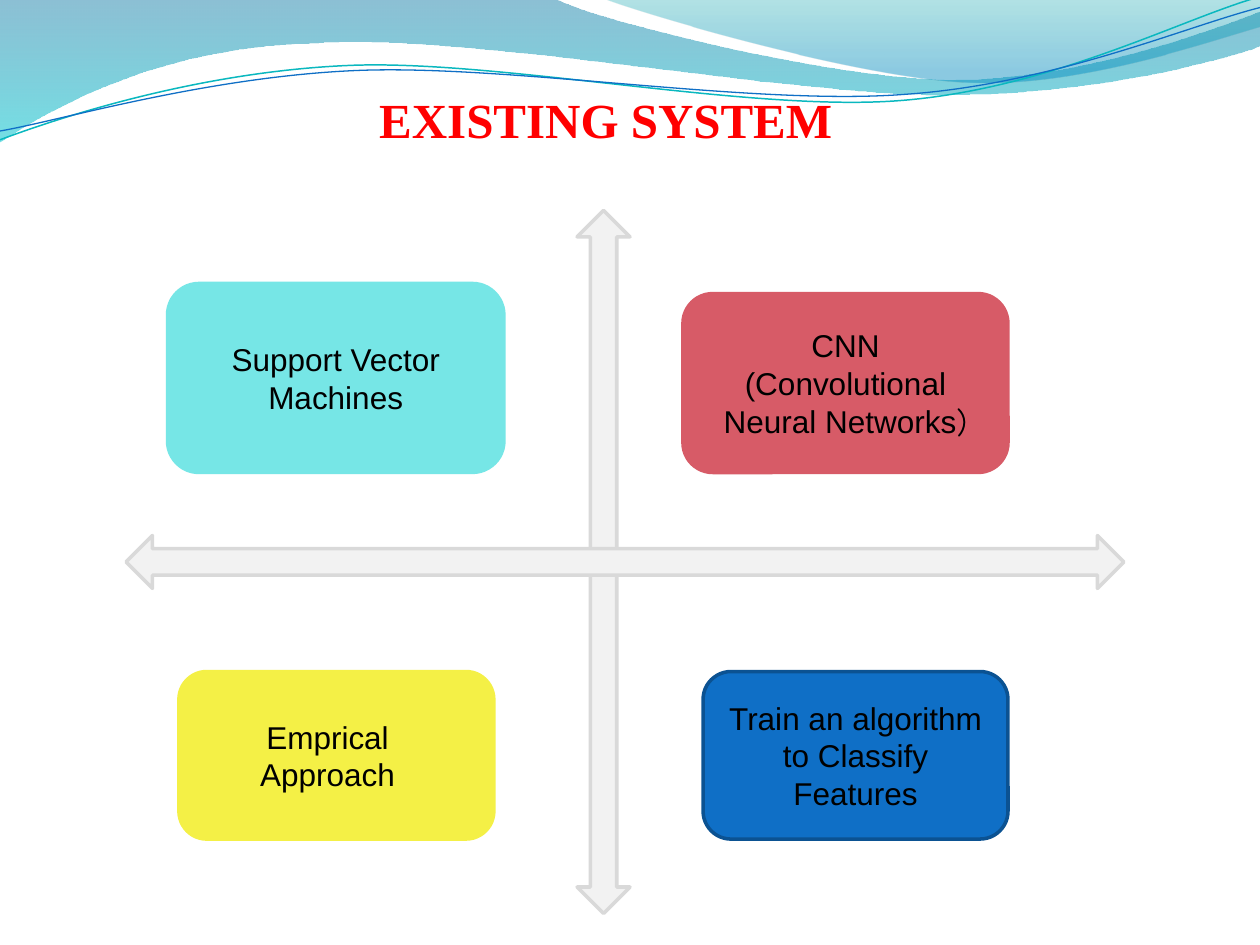
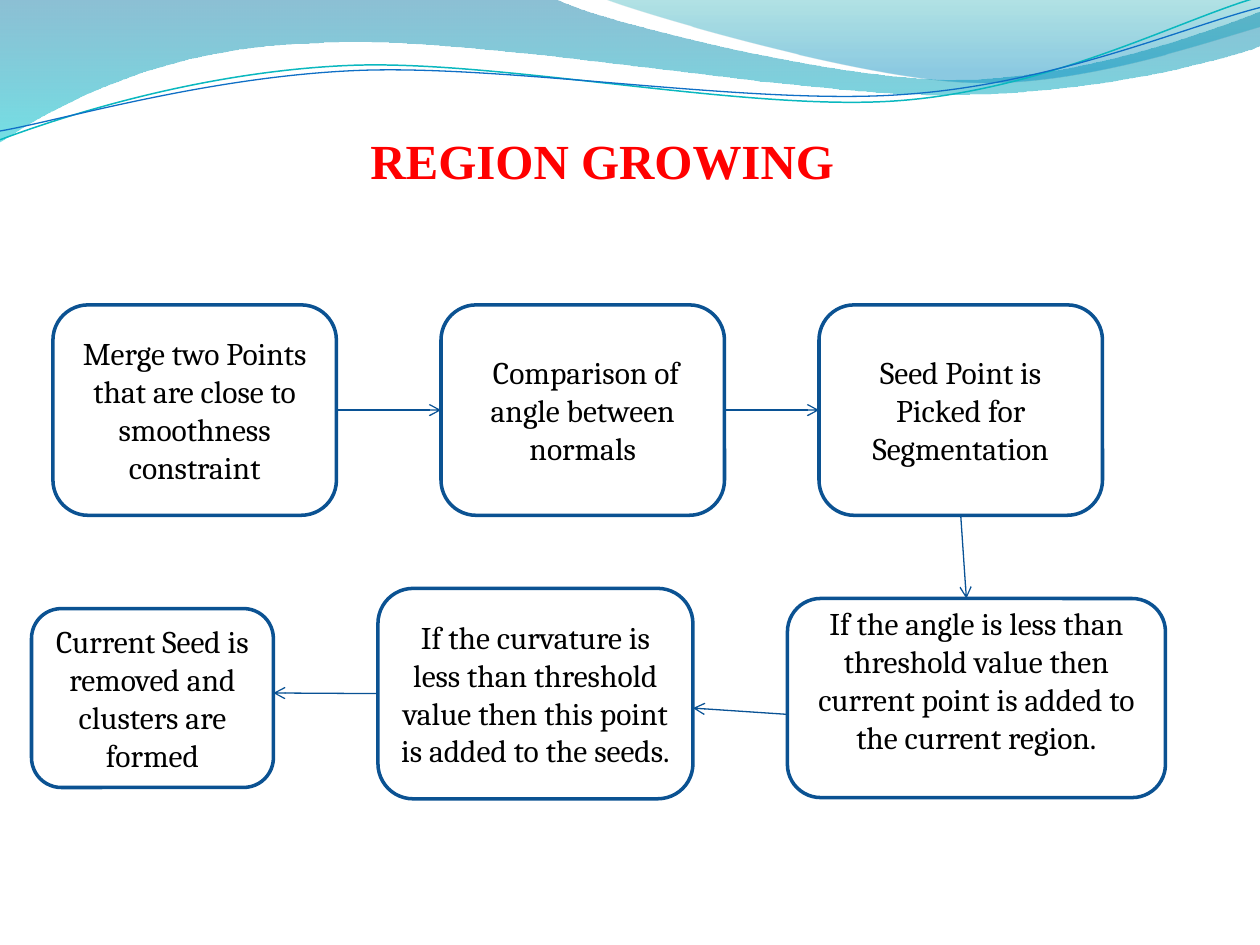
from dataclasses import dataclass

from lxml.etree import SubElement
from pptx import Presentation
from pptx.dml.color import RGBColor
from pptx.enum.shapes import MSO_CONNECTOR, MSO_SHAPE
from pptx.enum.text import MSO_ANCHOR, PP_ALIGN
from pptx.oxml.ns import qn
from pptx.util import Inches, Pt


@dataclass(frozen=True)
class Theme:
    title_color: str = "FF0000"
    text_color: str = "000000"
    outline: str = "0B5292"
    link: str = "095295"
    axis_fill: str = "F2F2F2"
    axis_line: str = "D9D9D9"
    white: str = "FFFFFF"
    blue: str = "0F6FC6"
    teal: str = "0AB8BF"
    title_font: str = "Times New Roman"
    quadrant_font: str = "Arial"
    step_font: str = "Cambria"
    bracket_font: str = "Comic Neue"
    title_size: int = 28
    body_size: int = 18
    outline_width: float = 2
    link_width: float = 0.75


THEME = Theme()
TOP, LEFT, BOTTOM, RIGHT = range(4)
SIDE_SHARES = {TOP: (0.5, 0), LEFT: (0, 0.5), BOTTOM: (0.5, 1), RIGHT: (1, 0.5)}
TITLE_INDENT = 2.52
TITLE_WIDTH = 9

# Wave outlines: a start point, then lines (x, y) or cubic curves (six numbers).
# Gradient stops: position, colour, opacity in percent.
WAVE_BANDS = [
    ((0, 0),
     [(4.4, -0.01), (4.76, 0.17, 6.64, 0.63, 7.58, 0.63), (8.53, 0.63, 9.58, 0.26, 10, 0.09),
      (10.01, 0.36), (9.83, 0.44, 8.7, 0.76, 7.46, 0.75), (6.22, 0.75, 3.82, 0.28, 2.57, 0.34),
      (1.29, 0.36, 0.46, 0.83, -0.01, 1.13), (0, 0)],
     [(0, "0074A1", 45), (1, "00C6CF", 55)]),
    ((4.79, -0.01),
     [(5.09, 0.11, 6.82, 0.62, 7.69, 0.65), (8.56, 0.69, 9.61, 0.32, 10, 0.21), (10, 0),
      (4.79, -0.01)],
     [(0, "00A1A9", 30), (0.8, "008BBF", 45)]),
]
WAVE_LINES = [
    ((0, 1.11),
     [(0.48, 0.93, 1.58, 0.57, 2.77, 0.52), (3.95, 0.47, 5.93, 0.89, 7.13, 0.8),
      (8.33, 0.71, 9.38, 0.15, 9.98, -0.02)], THEME.teal, 0.85),
    ((0, 1.04),
     [(0.47, 0.96, 1.64, 0.61, 2.83, 0.56), (4.03, 0.51, 5.97, 0.84, 7.17, 0.75),
      (8.36, 0.67, 9.41, 0.21, 10, 0.06)], THEME.blue, 0.75),
]

AXES = [
    (MSO_SHAPE.UP_DOWN_ARROW, (4.58, 1.67, 0.42, 5.58)),
    (MSO_SHAPE.LEFT_RIGHT_ARROW, (1, 4.25, 7.92, 0.42)),
]
QUADRANTS = [
    (["Support Vector Machines"], (1.33, 2.25, 2.67, 1.5), "76E6E6", "76E6E6"),
    (["CNN", "(Convolutional Neural Networks"], (5.42, 2.33, 2.58, 1.42), "D75B67", "D75B67"),
    (["Emprical", "Approach"], (1.42, 5.33, 2.5, 1.33), "F4F046", "F4F046"),
    (["Train an algorithm to Classify Features"], (5.58, 5.33, 2.42, 1.33),
     THEME.blue, THEME.outline),
]
EMPIRICAL_RIGHT_INDENT = 0.14

STEP_TOP, STEP_SIZE = 2.42, (2.25, 1.67)
STEPS = [
    ("Merge two Points that are close to smoothness constraint", (0.42, STEP_TOP, *STEP_SIZE)),
    (" Comparison of angle between normals", (3.5, STEP_TOP, *STEP_SIZE)),
    ("Seed Point is Picked for Segmentation", (6.5, STEP_TOP, *STEP_SIZE)),
    ("If the angle is less than threshold value then current point is added to "
     "the current region.", (6.25, 4.75, 3, 1.58)),
    ("If the curvature is less than threshold value then this point is added to the seeds.",
     (3, 4.67, 2.5, 1.67)),
    ("Current Seed is removed and clusters are formed", (0.25, 4.83, 1.92, 1.42)),
]
RAISED_STEP = 3
# Each end is (step, side) when joined to a side's middle, else a free point in floats.
LINKS = [
    ((0, RIGHT), (1, LEFT)),
    ((1, RIGHT), (2, LEFT)),
    ((2, BOTTOM), (7.67, 4.75)),
    ((6.25, 5.67), (5.5, 5.62)),
    ((4, LEFT), (2.17, 5.5)),
]


def color(value):
    return RGBColor.from_string(value)


def add_outline(slide, start, segments, close):
    """Draw through every point, then turn each curve's three lines into one cubic."""
    points = [(Inches(x), Inches(y))
              for segment in segments for x, y in zip(segment[::2], segment[1::2])]
    builder = slide.shapes.build_freeform(*map(Inches, start), scale=1.0)
    builder.add_line_segments(points, close=close)
    shape = builder.convert_to_shape()
    shape.shadow.inherit = False
    lines = iter(list(shape.element.iter(qn("a:lnTo"))))
    for segment in segments:
        first = next(lines)
        if len(segment) == 6:
            first.tag = qn("a:cubicBezTo")
            for _ in range(2):
                extra = next(lines)
                first.append(extra[0])
                extra.getparent().remove(extra)
    return shape


def add_waves(slide):
    """Draw the waves and move them to the layout that all slides share."""
    waves = []
    for start, segments, stops in WAVE_BANDS:
        band = add_outline(slide, start, segments, close=True)
        band.line.fill.background()
        band.fill.gradient()
        band.fill.gradient_angle = 270
        for stop, (position, value, _) in zip(band.fill.gradient_stops, stops):
            stop.position = position
            stop.color.rgb = color(value)
        for element, (_, _, opacity) in zip(band.element.iter(qn("a:srgbClr")), stops):
            SubElement(element, qn("a:alpha"), val=str(opacity * 1000))
        waves.append(band)
    for start, segments, value, width in WAVE_LINES:
        wave = add_outline(slide, start, segments, close=False)
        wave.fill.background()
        wave.line.color.rgb = color(value)
        wave.line.width = Pt(width)
        waves.append(wave)
    for number, wave in enumerate(waves, start=101):
        wave.element.nvSpPr.cNvPr.set("id", str(number))
        slide.slide_layout.shapes.element.append(wave.element)


def style_font(font, name, size, value, bold=False):
    font.name, font.size, font.bold = name, Pt(size), bold
    font.color.rgb = color(value)


def add_title(slide, text, left, top, height):
    box = slide.shapes.add_textbox(*map(Inches, (left, top, TITLE_WIDTH, height)))
    frame = box.text_frame
    frame.word_wrap = True
    frame.vertical_anchor = MSO_ANCHOR.BOTTOM
    frame.margin_left = Inches(TITLE_INDENT)
    frame.margin_right = frame.margin_bottom = 0
    paragraph = frame.paragraphs[0]
    paragraph.text = text
    style_font(paragraph.font, THEME.title_font, THEME.title_size, THEME.title_color, bold=True)


def add_box(slide, kind, place, fill, line, lines=(), font=None):
    shape = slide.shapes.add_shape(kind, *map(Inches, place))
    shape.shadow.inherit = False
    shape.fill.solid()
    shape.fill.fore_color.rgb = color(fill)
    shape.line.color.rgb = color(line)
    shape.line.width = Pt(THEME.outline_width)
    frame = shape.text_frame
    frame.word_wrap = True
    frame.vertical_anchor = MSO_ANCHOR.MIDDLE
    for index, text in enumerate(lines):
        paragraph = frame.add_paragraph() if index else frame.paragraphs[0]
        paragraph.text = text
        paragraph.alignment = PP_ALIGN.CENTER
        style_font(paragraph.font, font, THEME.body_size, THEME.text_color)
    return shape


def find_end(end, shapes):
    """Return the point of a link's end, and the shape it joins or None."""
    first, side = end
    if isinstance(first, float) or isinstance(side, float):
        return (Inches(first), Inches(side)), None
    shape = shapes[first]
    across, down = SIDE_SHARES[side]
    point = (int(shape.left + shape.width * across), int(shape.top + shape.height * down))
    return point, shape


def add_link(slide, shapes, begin, end):
    begin_point, begin_shape = find_end(begin, shapes)
    end_point, end_shape = find_end(end, shapes)
    link = slide.shapes.add_connector(MSO_CONNECTOR.STRAIGHT, *begin_point, *end_point)
    if begin_shape is not None:
        link.begin_connect(begin_shape, begin[1])
    if end_shape is not None:
        link.end_connect(end_shape, end[1])
    link.line.color.rgb = color(THEME.link)
    link.line.width = Pt(THEME.link_width)
    properties = link.element.spPr
    SubElement(properties.find(qn("a:ln")), qn("a:tailEnd"), type="arrow")
    SubElement(properties, qn("a:effectLst"))


def add_slide(presentation, title, left, top, height):
    slide = presentation.slides.add_slide(presentation.slide_layouts[6])
    if len(presentation.slides) == 1:
        add_waves(slide)
    add_title(slide, title, left, top, height)
    return slide


def build_existing_system(presentation):
    slide = add_slide(presentation, "EXISTING SYSTEM", 0.49, 0, 1.18)
    for kind, place in AXES:
        add_box(slide, kind, place, THEME.axis_fill, THEME.axis_line)
    _, network, empirical, _ = [
        add_box(slide, MSO_SHAPE.ROUNDED_RECTANGLE, place, fill, line, lines, THEME.quadrant_font)
        for lines, place, fill, line in QUADRANTS]
    bracket = network.text_frame.paragraphs[-1].add_run()
    bracket.text = ")"
    bracket.font.name = THEME.bracket_font
    first_line = next(empirical.element.iter(qn("a:pPr")))
    first_line.set("marR", str(Inches(EMPIRICAL_RIGHT_INDENT)))


def build_region_growing(presentation):
    slide = add_slide(presentation, "REGION GROWING", 0.42, 0.67, 0.83)
    steps = [add_box(slide, MSO_SHAPE.ROUNDED_RECTANGLE, place, THEME.white, THEME.outline,
                     [text], THEME.step_font)
             for text, place in STEPS]
    raised = steps[RAISED_STEP].text_frame
    raised.margin_top, raised.margin_bottom = 0, Inches(0.29)
    for begin, end in LINKS:
        add_link(slide, steps, begin, end)


def main():
    presentation = Presentation()
    presentation.slide_width, presentation.slide_height = Inches(10), Inches(7.5)
    build_existing_system(presentation)
    build_region_growing(presentation)
    presentation.save("out.pptx")


if __name__ == "__main__":
    main()
